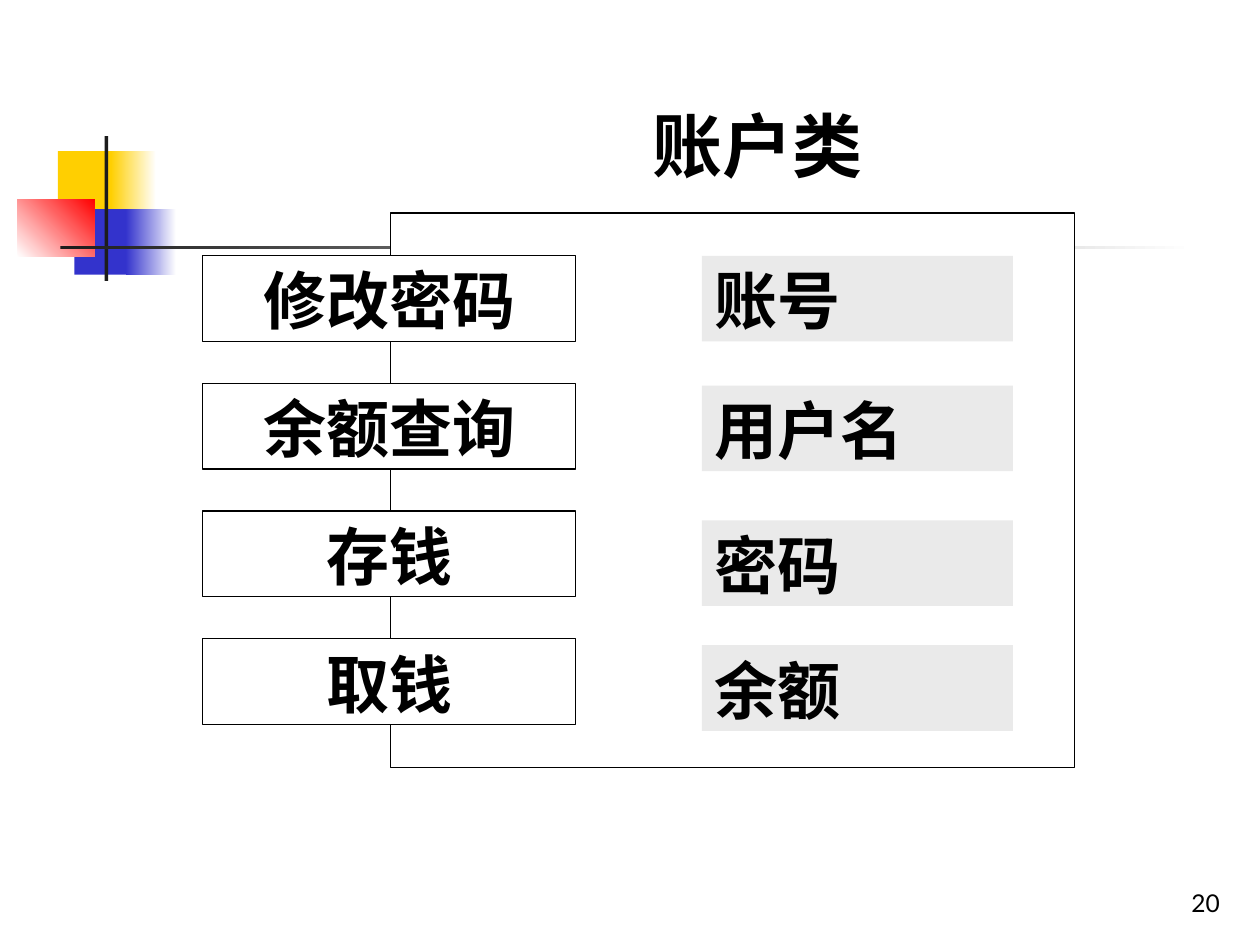
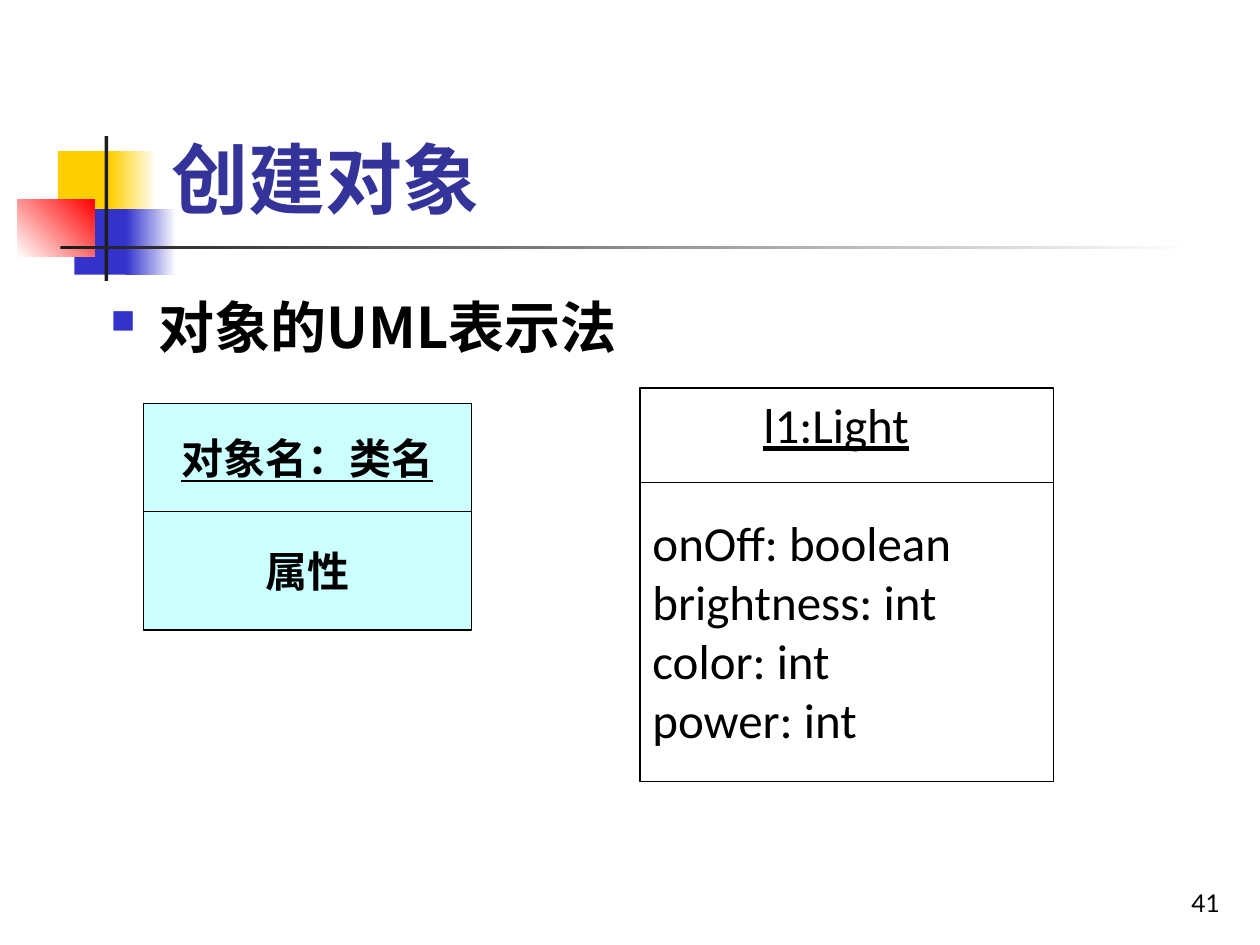
from lxml import etree
from pptx import Presentation
from pptx.dml.color import RGBColor
from pptx.enum.shapes import MSO_CONNECTOR, MSO_SHAPE
from pptx.enum.text import MSO_ANCHOR as ANCHOR, MSO_AUTO_SIZE, PP_ALIGN as ALIGN
from pptx.oxml.ns import qn
from pptx.util import Inches, Pt

rgb = RGBColor.from_string
BLACK, WHITE, GREY, CYAN = "000000", "FFFFFF", "EAEAEA", "CCFFFF"
GOLD, BLUE, RED, DARK, TITLE_BLUE = "FFCF01", "3333CC", "FF0000", "1C1C1C", "333399"
SERIF, SANS, BODY, CJK = "Times New Roman", "Lato", "Calibri", "Noto Sans CJK SC"


def box(slide, left, top, width, height, fill=WHITE, line=None, angle=0):
    """Add a rectangle in inches; a pair of colours as fill makes a gradient."""
    sp = slide.shapes.add_shape(MSO_SHAPE.RECTANGLE, *map(Inches, (left, top, width, height)))
    sp.shadow.inherit = False
    if isinstance(fill, tuple):
        sp.fill.gradient()
        sp.fill.gradient_angle = angle
        for stop, colour in zip(sp.fill.gradient_stops, fill):
            stop.color.rgb = rgb(colour)
    else:
        sp.fill.solid()
        sp.fill.fore_color.rgb = rgb(fill)
    if line:
        sp.line.color.rgb = rgb(line)
        sp.line.width = Pt(0.75)
    else:
        sp.line.fill.background()
    return sp


def write(sp, text, size, font=SERIF, color=BLACK, bold=False, underline=False,
          align=ALIGN.LEFT, anchor=ANCHOR.TOP, before=0, indent=0):
    """Write text as the next paragraph of a shape."""
    tf = sp.text_frame
    tf.word_wrap = True
    tf.auto_size = MSO_AUTO_SIZE.NONE
    tf.vertical_anchor = anchor
    p = tf.add_paragraph() if tf.text else tf.paragraphs[0]
    p.alignment = align
    p.space_before = Pt(before)
    if indent:
        p._p.get_or_add_pPr().set("marL", str(Inches(indent)))
    r = p.add_run()
    r.text = text
    r.font.size, r.font.name = Pt(size), font
    r.font.bold, r.font.underline = bold, underline
    r.font.color.rgb = rgb(color)
    etree.SubElement(r._r.get_or_add_rPr(), qn("a:ea"), typeface=CJK)
    return p


prs = Presentation()
prs.slide_width, prs.slide_height = Inches(10), Inches(7.5)
title_only = prs.slide_layouts[5]
account, objects = [prs.slides.add_slide(title_only) for _ in range(2)]

# Shared ornament: drawn once, then moved to the master
ornament = [
    (0.46, 1.2, 0.48, 0.52, GOLD),
    (0.88, 1.2, 0.36, 0.52, (GOLD, WHITE)),
    (0.59, 1.66, 0.46, 0.52, BLUE),
    (1, 1.66, 0.4, 0.52, (BLUE, WHITE)),
    (0.14, 1.58, 0.61, 0.46, (WHITE, RED), 45),
    (0.83, 1.08, 0.03, 1.15, DARK),
    (0.48, 1.95, 9, 0.03, (DARK, WHITE)),
]
for left, top, width, height, fill, *angle in ornament:
    sp = box(account, left, top, width, height, fill, angle=angle[0] if angle else 0)
    prs.slide_master.shapes._spTree.append(sp._element)

# Titles and page numbers
titles = [
    (account, "20", "账户类", (5.08, 0.76, 3.45, 1.01),
     dict(size=40, font=SERIF, anchor=ANCHOR.TOP)),
    (objects, "41", "创建对象", (1.26, 0.23, 8.52, 1.6),
     dict(size=44, font=SANS, color=TITLE_BLUE, anchor=ANCHOR.BOTTOM)),
]
for s, number, text, place, style in titles:
    title = s.shapes.title
    title.left, title.top, title.width, title.height = map(Inches, place)
    write(title, text, bold=True, **style)
    page = s.shapes.add_textbox(*map(Inches, (7.7, 6.83, 2.08, 0.5)))
    write(page, number, 14, SANS, align=ALIGN.RIGHT, anchor=ANCHOR.BOTTOM)

# Account class: methods straddle the frame's left edge, attributes sit inside
box(account, 3.1, 1.69, 5.43, 4.4, line=BLACK)
ROW_H, FIRST_ROW, LAST_ROW = 0.68, 2.03, 5.07
methods = ["修改密码", "余额查询", "存钱", "取钱"]
pitch = (LAST_ROW - FIRST_ROW) / (len(methods) - 1)
for i, name in enumerate(methods):
    sp = box(account, 1.61, FIRST_ROW + i * pitch, 2.96, ROW_H, line=BLACK)
    write(sp, name, 36, bold=True, align=ALIGN.CENTER)
attributes = {"账号": FIRST_ROW, "用户名": 3.06, "密码": 4.13, "余额": 5.12}
for name, top in attributes.items():
    sp = box(account, 5.57, top, 2.47, ROW_H, GREY)
    write(sp, name, 36, bold=True)

# UML notation: the general form
for text, top, height, underline in [("对象名：类名", 3.2, 0.87, True),
                                     ("属性", 4.06, 0.94, False)]:
    sp = box(objects, 1.14, top, 2.6, height, CYAN, BLACK)
    write(sp, text, 24, bold=True, underline=underline, align=ALIGN.CENTER,
          anchor=ANCHOR.MIDDLE)

# UML notation: the Light example
LIGHT_X, LIGHT_W, DIVIDER_Y = 5.08, 3.28, 3.83
light = box(objects, LIGHT_X, 3.08, LIGHT_W, 3.12, line=BLACK)
write(light, "l1:Light", 28, BODY, underline=True, indent=0.88)
for i, field in enumerate(["onOff: boolean", "brightness: int", "color: int", "power: int"]):
    write(light, field, 28, BODY, before=0 if i else 34)
divider = objects.shapes.add_connector(
    MSO_CONNECTOR.STRAIGHT, *map(Inches, (LIGHT_X, DIVIDER_Y, LIGHT_X + LIGHT_W, DIVIDER_Y)))
divider.line.color.rgb = rgb(BLACK)
divider.line.width = Pt(0.75)
etree.SubElement(divider._element.spPr, qn("a:effectLst"))

# Bulleted heading
body = objects.shapes.add_textbox(*map(Inches, (0.78, 2.27, 8.5, 4.5)))
p = write(body, "对象的UML表示法", 32, CJK, bold=True, before=8, indent=0.38)
pPr = p._p.get_or_add_pPr()
pPr.set("indent", str(-Inches(0.38)))
etree.SubElement(etree.SubElement(pPr, qn("a:buClr")), qn("a:srgbClr"), val=BLUE)
etree.SubElement(pPr, qn("a:buSzPct"), val="60000")
etree.SubElement(pPr, qn("a:buChar"), char="■")

prs.save("out.pptx")
